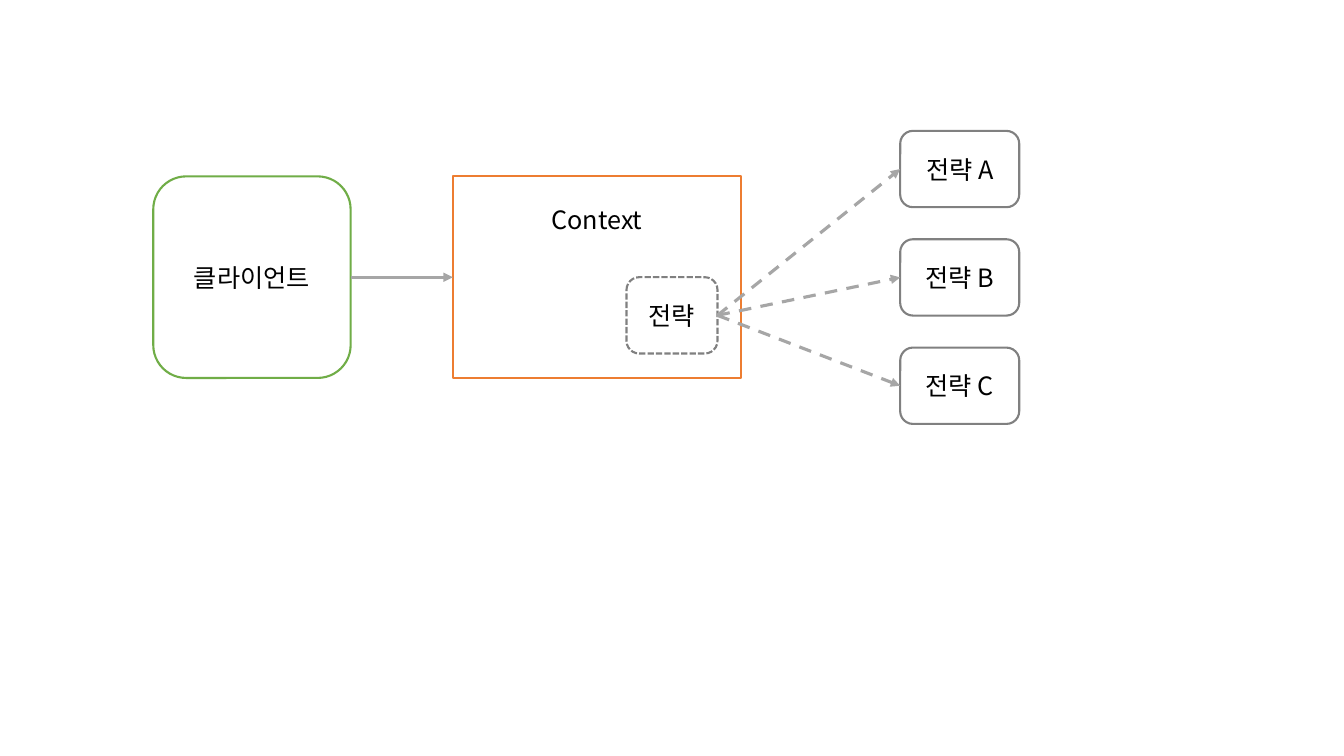
"""Build the strategy pattern diagram slide."""
import pptx
import pptx.util
import pptx.dml.color
import pptx.enum.dml
import pptx.enum.shapes
import pptx.enum.text
import pptx.oxml

Pt = pptx.util.Pt
RGB = pptx.dml.color.RGBColor.from_string
DASH = pptx.enum.dml.MSO_LINE
SHAPE = pptx.enum.shapes.MSO_SHAPE
TEXT = pptx.enum.text
NS = 'xmlns:a="http://schemas.openxmlformats.org/drawingml/2006/main"'

theme = {
    "font": "Noto Sans CJK KR", "size": 18, "text": "000000", "fill": "FFFFFF",
    "client": "70AD47", "context": "ED7D31", "strategy": "808080", "arrow": "A6A6A6",
    "outline": 1.5, "arrow_width": 2.25,
}


def add_box(group, kind, box, text="", color=None, dash=None):
    sp = group.shapes.add_shape(kind, *[Pt(v) for v in box])
    sp.shadow.inherit = False
    sp.fill.solid()
    sp.fill.fore_color.rgb = RGB(theme["fill"])
    if color:
        sp.line.color.rgb = RGB(theme[color])
        for name, value in {"width": Pt(theme["outline"]), "dash_style": dash}.items():
            setattr(sp.line, name, value)
    else:
        sp.line.fill.background()
    if text:
        tf = sp.text_frame
        for name, value in {"word_wrap": True, "vertical_anchor": TEXT.MSO_ANCHOR.MIDDLE}.items():
            setattr(tf, name, value)
        p = tf.paragraphs[0]
        p.alignment = TEXT.PP_ALIGN.CENTER
        r = p.add_run()
        r.text = text
        for name, value in {"name": theme["font"], "size": Pt(theme["size"])}.items():
            setattr(r.font, name, value)
        r.font.color.rgb = RGB(theme["text"])
        r.font._element.append(pptx.oxml.parse_xml(f'<a:ea {NS} typeface="{theme["font"]}"/>'))
    return sp


def add_arrow(group, start, end, dash=None):
    cxn = group.shapes.add_connector(
        pptx.enum.shapes.MSO_CONNECTOR.STRAIGHT,
        start.left + start.width, start.top + start.height // 2,
        end.left, end.top + end.height // 2)
    cxn.begin_connect(start, 3)
    cxn.end_connect(end, 1)
    cxn.line.color.rgb = RGB(theme["arrow"])
    for name, value in {"width": Pt(theme["arrow_width"]), "dash_style": dash}.items():
        setattr(cxn.line, name, value)
    cxn.line._get_or_add_ln().append(pptx.oxml.parse_xml(f'<a:tailEnd {NS} type="triangle"/>'))
    cxn._element.spPr.append(pptx.oxml.parse_xml(f"<a:effectLst {NS}/>"))


prs = pptx.Presentation()
prs.slide_width, prs.slide_height = Pt(960), Pt(540)
slide = prs.slides.add_slide(prs.slide_layouts[6])
diagram = slide.shapes.add_group_shape()

client = add_box(diagram, SHAPE.ROUNDED_RECTANGLE, (109.5, 126, 141, 144), "클라이언트", "client")
context = add_box(diagram, SHAPE.RECTANGLE, (323.5, 126, 206, 144), color="context")
add_box(diagram, SHAPE.RECTANGLE, (368.5, 140.5, 116, 32.5), "Context")
strategy = add_box(diagram, SHAPE.ROUNDED_RECTANGLE, (447.5, 198, 65, 54.5), "전략", "strategy",
                   DASH.SQUARE_DOT)
add_arrow(diagram, client, context)

for i, letter in enumerate("ABC"):
    concrete = add_box(diagram, SHAPE.ROUNDED_RECTANGLE, (643, 93.5 + 77.4 * i, 85, 54.5),
                       f"전략 {letter}", "strategy")
    add_arrow(diagram, strategy, concrete, DASH.DASH)

prs.save("out.pptx")
